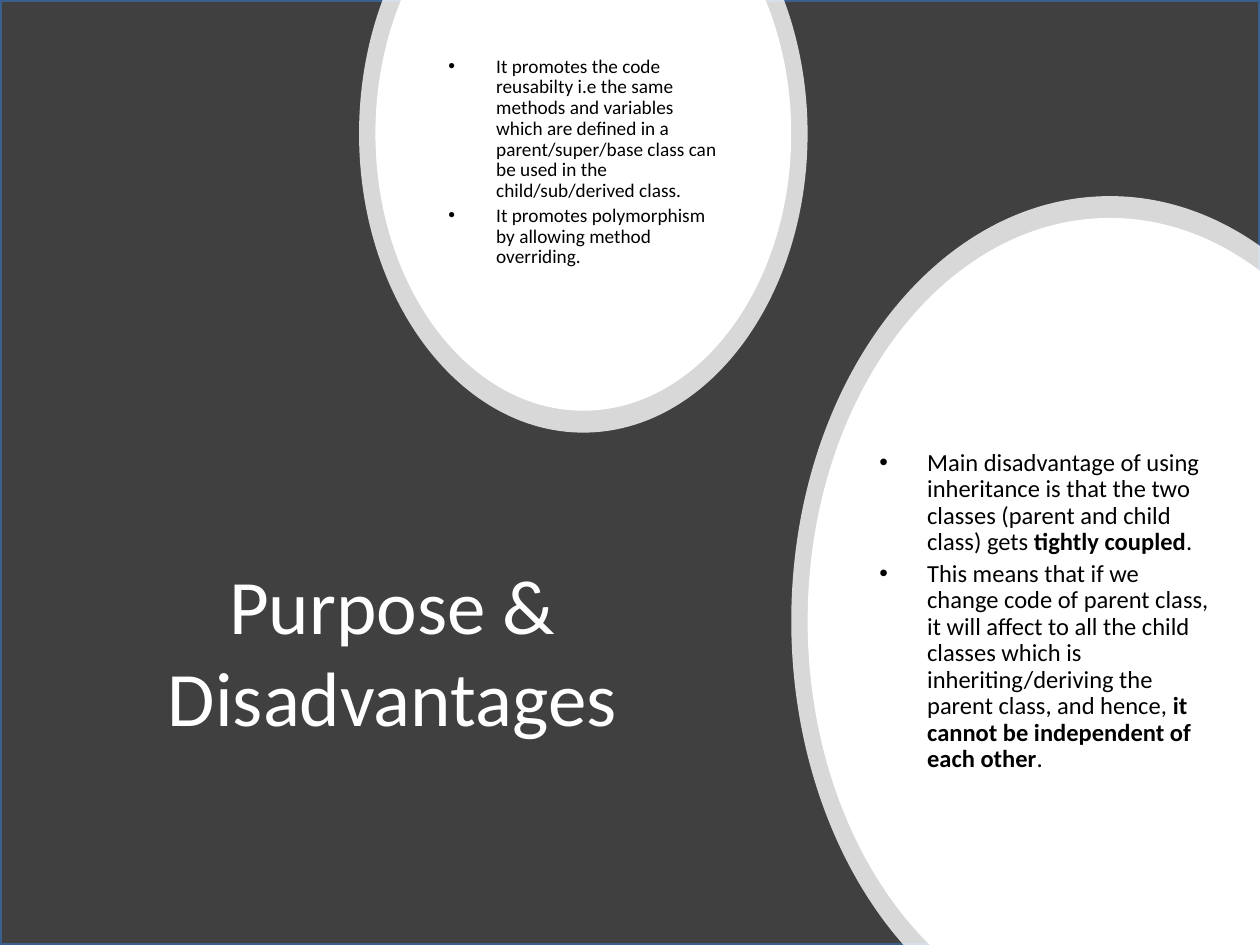
"""Build the slide on the purpose and disadvantages of inheritance."""
from dataclasses import dataclass, field
from itertools import pairwise
from math import acos, asin, cos, pi, sin, tan

from lxml import etree
from pptx import Presentation
from pptx import util as u
from pptx.dml.color import RGBColor
from pptx.enum import shapes, text
from pptx.oxml.ns import qn

COLS, ROWS = 10, 7.5
INDENT = u.Inches(0.38)
Dot = tuple[float, float]


@dataclass
class Disc:
    """An ellipse, taller than wide, cut off at the slide's edges."""
    x: float
    y: float
    r: float
    alpha: int = 100

    @property
    def high(self) -> float:
        """Return the upright radius."""
        return self.r * 4 / 3

    def turns(self) -> list[float]:
        """Return the angles where the arcs of the outline meet."""
        if self.y < self.high:
            cut = asin(self.y / self.high)
            return [-cut, 0, pi / 2, pi, pi + cut]
        foot = asin((ROWS - self.y) / self.high)
        side = acos((COLS - self.x) / self.r)
        return [pi - foot, pi, 3 * pi / 2, 2 * pi - side]

    def dot(self, turn: float, pull: float = 0) -> Dot:
        """Return a point at an angle, moved along the tangent."""
        return (self.x + self.r * (cos(turn) - pull * sin(turn)),
                self.y + self.high * (sin(turn) + pull * cos(turn)))


@dataclass
class Block:
    """A box of text; words between asterisks are bold."""
    x: float
    y: float
    w: float
    h: float
    size: int
    color: str
    lines: list[str] = field(default_factory=list)
    bullet: bool = True
    foot: float = 0.05


RINGS = [Disc(4.63, 1.06, 1.78, 80), Disc(8.81, 4.93, 2.53, 80)]
DISCS = [Disc(4.63, 1.06, 1.65), Disc(8.81, 4.93, 2.4)]
TITLE = Block(0.63, 3.83, 4.97, 2.65, 44, "FFFFFF",
              ["Purpose & Disadvantages"], bullet=False)
NOTES = [
    Block(3.46, 0.39, 2.36, 1.96, 11, "000000", [
        "It promotes the code reusabilty i.e the same methods and variables "
        "which are defined in a parent/super/base class can be used in the "
        "child/sub/derived class.",
        "It promotes polymorphism by allowing method overriding.\n",
    ]),
    Block(6.88, 3.44, 2.85, 3.04, 14, "000000", [
        "Main disadvantage of using inheritance is that the two classes "
        "(parent and child class) gets *tightly coupled*.",
        "This means that if we change code of parent class, it will affect "
        "to all the child classes which is inheriting/deriving the parent "
        "class, and hence, *it cannot be independent of each other*.",
    ], foot=0.26),
]


def paint(fill, color: str) -> None:
    """Give a fill one solid colour."""
    fill.solid()
    fill.fore_color.rgb = RGBColor.from_string(color)


def draw_back(slide, wide: int, high: int) -> None:
    """Draw the dark panel that covers the slide."""
    back = slide.shapes.add_shape(shapes.MSO_SHAPE.RECTANGLE, 0, 0, wide, high)
    back.shadow.inherit = False
    paint(back.fill, "404040")
    paint(back.line.fill, "3A5F8C")
    back.line.width = u.Pt(2)


def bend(shape, count: int) -> None:
    """Join each three of the first line segments into one curve."""
    legs = list(shape._element.iter(qn("a:lnTo")))
    for start in range(0, count * 3, 3):
        trio = legs[start:start + 3]
        trio[0].tag = qn("a:cubicBezTo")
        for leg in trio[1:]:
            trio[0].append(leg[0])
            leg.getparent().remove(leg)


def draw_disc(slide, disc: Disc) -> None:
    """Draw a white ellipse that ends at the slide's edges."""
    turns = disc.turns()
    dots = [disc.dot(turns[0])]
    for first, last in pairwise(turns):
        pull = 4 / 3 * tan((last - first) / 4)
        dots += [disc.dot(first, pull), disc.dot(last, -pull), disc.dot(last)]
    if disc.y > disc.high:
        dots.append((COLS, ROWS))
    spots = [(u.Inches(col), u.Inches(row)) for col, row in dots]
    outline = slide.shapes.build_freeform(*spots[0])
    outline.add_line_segments(spots[1:], close=True)
    shape = outline.convert_to_shape()
    bend(shape, len(turns) - 1)
    shape.shadow.inherit = False
    shape.line.fill.background()
    paint(shape.fill, "FFFFFF")
    if disc.alpha < 100:
        tint = shape._element.spPr.find(".//" + qn("a:srgbClr"))
        etree.SubElement(tint, qn("a:alpha"), val=str(disc.alpha * 1000))


def set_bullet(para, size: int) -> None:
    """Make a paragraph a bulleted item with a hanging indent."""
    para.line_spacing = 0.9
    para.space_before = u.Pt(size * 0.2)
    props = para._p.get_or_add_pPr()
    props.set("marL", str(INDENT))
    props.set("indent", str(-INDENT))
    etree.SubElement(props, qn("a:buFont"), typeface="Arial")
    etree.SubElement(props, qn("a:buChar"), char="•")


def draw_text(slide, block: Block) -> None:
    """Draw a block of text, anchored in the middle."""
    box = slide.shapes.add_textbox(
        *map(u.Inches, (block.x, block.y, block.w, block.h)))
    frame = box.text_frame
    frame.word_wrap = True
    frame.vertical_anchor = text.MSO_ANCHOR.MIDDLE
    frame.margin_bottom = u.Inches(block.foot)
    for rank, line in enumerate(block.lines):
        para = frame.add_paragraph() if rank else frame.paragraphs[0]
        if block.bullet:
            set_bullet(para, block.size)
        else:
            para.alignment = text.PP_ALIGN.CENTER
        for part, words in enumerate(line.rstrip("\n").split("*")):
            run = para.add_run()
            run.text = words
            run.font.bold = part % 2 == 1
            run.font.name = "Calibri"
            run.font.size = u.Pt(block.size)
            paint(run.font.fill, block.color)
        if line.endswith("\n"):
            para.add_line_break()
            para.font.size = u.Pt(block.size)
            mark = etree.SubElement(para._p, qn("a:endParaRPr"))
            mark.set("sz", str(block.size * 100))


def main() -> None:
    """Build and save the deck."""
    deck = Presentation()
    deck.slide_width, deck.slide_height = u.Inches(COLS), u.Inches(ROWS)
    slide = deck.slides.add_slide(deck.slide_layouts[6])
    draw_back(slide, deck.slide_width, deck.slide_height)
    draw_text(slide, TITLE)
    for ring in RINGS:
        draw_disc(slide, ring)
    for disc, note in zip(DISCS, NOTES):
        draw_disc(slide, disc)
        draw_text(slide, note)
    deck.save("out.pptx")


if __name__ == "__main__":
    main()
